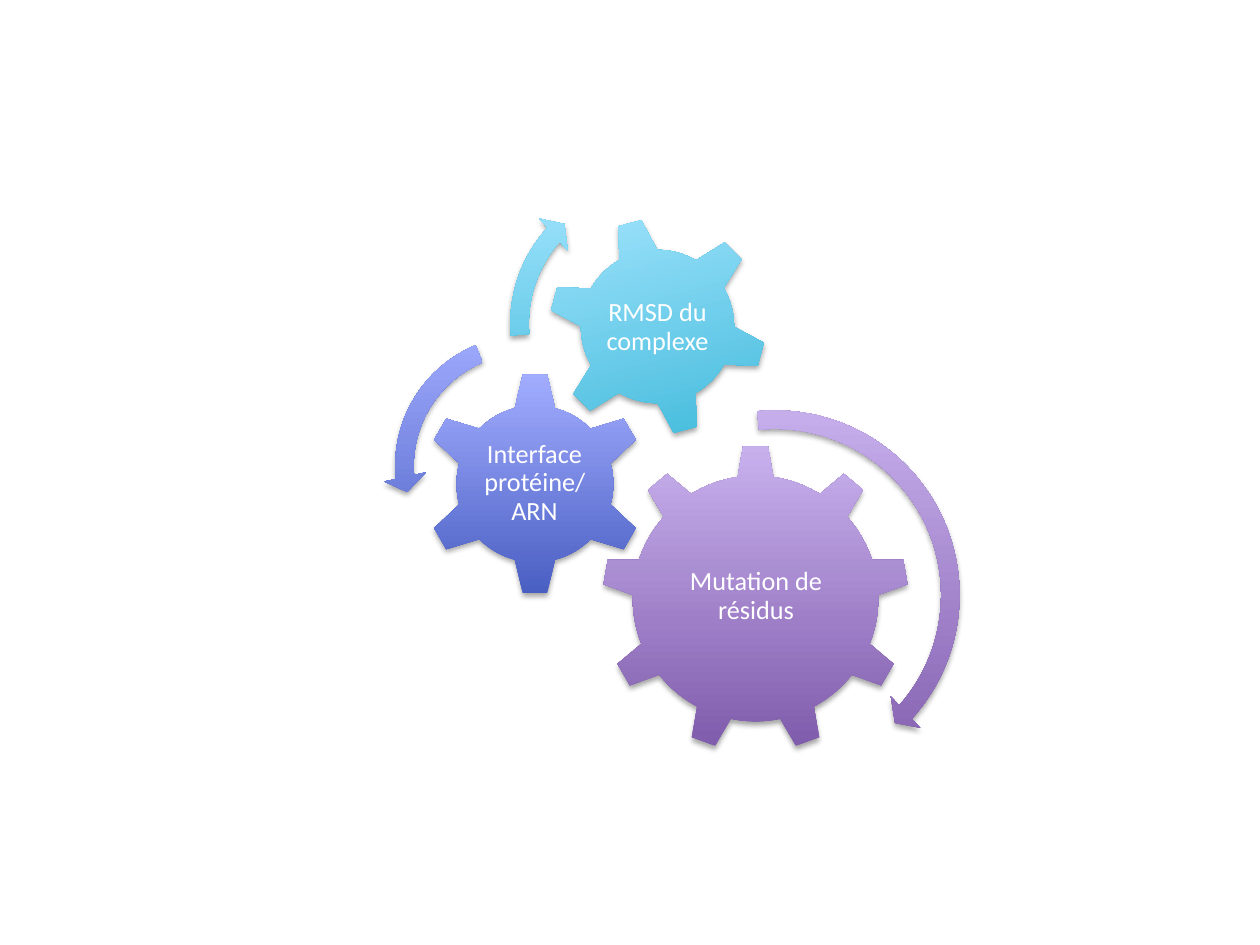
import lxml.etree
import pptx
import pptx.dml.color
import pptx.enum.shapes
import pptx.enum.text
import pptx.oxml.ns
import pptx.util

SHAPE = pptx.enum.shapes.MSO_SHAPE
EMU_PER_PX = 914400 / 126

THEME = {
    "font": "Calibri",
    "size": 15,
    "text": "FFFFFF",
    "purple": ("7F5BAB", "C8B0ED"),  # bottom, top
    "indigo": ("495EC2", "A2ADFF"),
    "cyan": ("39B7D8", "A7E6FF"),
    "shadow": "000000",
}

# box: left, top, width, height in pixels
GEARS = [
    dict(text="Mutation de résidus", kind=SHAPE.GEAR_9, color="purple", rotation=0,
         box=(602, 445, 307, 307), text_box=(664, 517, 184, 159)),
    dict(text="Interface protéine/ARN", kind=SHAPE.GEAR_6, color="indigo", rotation=0,
         box=(423, 372, 224, 224), text_box=(479, 428, 111, 111)),
    dict(text="RMSD du complexe", kind=SHAPE.GEAR_6, color="cyan", rotation=345,
         box=(548, 217, 219, 219), text_box=(596, 266, 123, 123)),
]
ARROWS = [
    dict(kind=SHAPE.CIRCULAR_ARROW, color="purple", box=(578, 398, 394, 394),
         adjustments=(0.047, 2.99, 25.13, 158.68, 0.055)),
    dict(kind=SHAPE.LEFT_CIRCULAR_ARROW, color="indigo", box=(383, 323, 286, 286),
         adjustments=(0.065, 4.3, 104.89, 148.38, 0.075)),
    dict(kind=SHAPE.CIRCULAR_ARROW, color="cyan", box=(498, 169, 309, 309),
         adjustments=(0.06, 3.94, 133.14, 105.08, 0.07)),
]


def px(n):
    """Turn pixels into EMU."""
    return pptx.util.Emu(round(n * EMU_PER_PX))


def rgb(value):
    """Return the colour for a hex string."""
    return pptx.dml.color.RGBColor.from_string(value)


def add_shadow(s):
    """Give a shape a soft shadow that falls straight down."""
    s.shadow.inherit = False
    qn = pptx.oxml.ns.qn
    effects = s._element.spPr.find(qn("a:effectLst"))
    shadow = lxml.etree.SubElement(
        effects, qn("a:outerShdw"), blurRad=str(pptx.util.Pt(3.1)),
        dist=str(pptx.util.Pt(1.8)), dir="5400000", rotWithShape="0")
    color = lxml.etree.SubElement(shadow, qn("a:srgbClr"), val=THEME["shadow"])
    lxml.etree.SubElement(color, qn("a:alpha"), val="35000")


def add_part(slide, kind, box, color, rotation=0, adjustments=()):
    """Add a gear or arrow with a vertical gradient and a shadow."""
    s = slide.shapes.add_shape(kind, *map(px, box))
    s.rotation = rotation
    for i, value in enumerate(adjustments):
        s.adjustments[i] = value
    s.fill.gradient()
    s.fill.gradient_angle = 90
    for stop, value, position in zip(s.fill.gradient_stops, THEME[color], (0, 1)):
        stop.color.rgb = rgb(value)
        stop.position = position
    s.line.fill.background()
    add_shadow(s)


def add_text(slide, text, box, size=THEME["size"], color=THEME["text"], spacing=0.9):
    """Add wrapped text centred in its box."""
    tf = slide.shapes.add_textbox(*map(px, box)).text_frame
    tf.word_wrap = True
    tf.vertical_anchor = pptx.enum.text.MSO_ANCHOR.MIDDLE
    tf.margin_left = tf.margin_right = tf.margin_top = tf.margin_bottom = px(2.5)
    p = tf.paragraphs[0]
    p.alignment = pptx.enum.text.PP_ALIGN.CENTER
    p.line_spacing = spacing
    r = p.add_run()
    r.text = text
    r.font.name = THEME["font"]
    r.font.size = pptx.util.Pt(size)
    r.font.color.rgb = rgb(color)


def main():
    """Build the slide and save it."""
    prs = pptx.Presentation()
    prs.slide_width, prs.slide_height = px(1260), px(945)
    slide = prs.slides.add_slide(prs.slide_layouts[6])
    for gear in GEARS:
        add_part(slide, gear["kind"], gear["box"], gear["color"], gear["rotation"])
        add_text(slide, gear["text"], gear["text_box"])
    for arrow in ARROWS:
        add_part(slide, **arrow)
    prs.save("out.pptx")


main()
